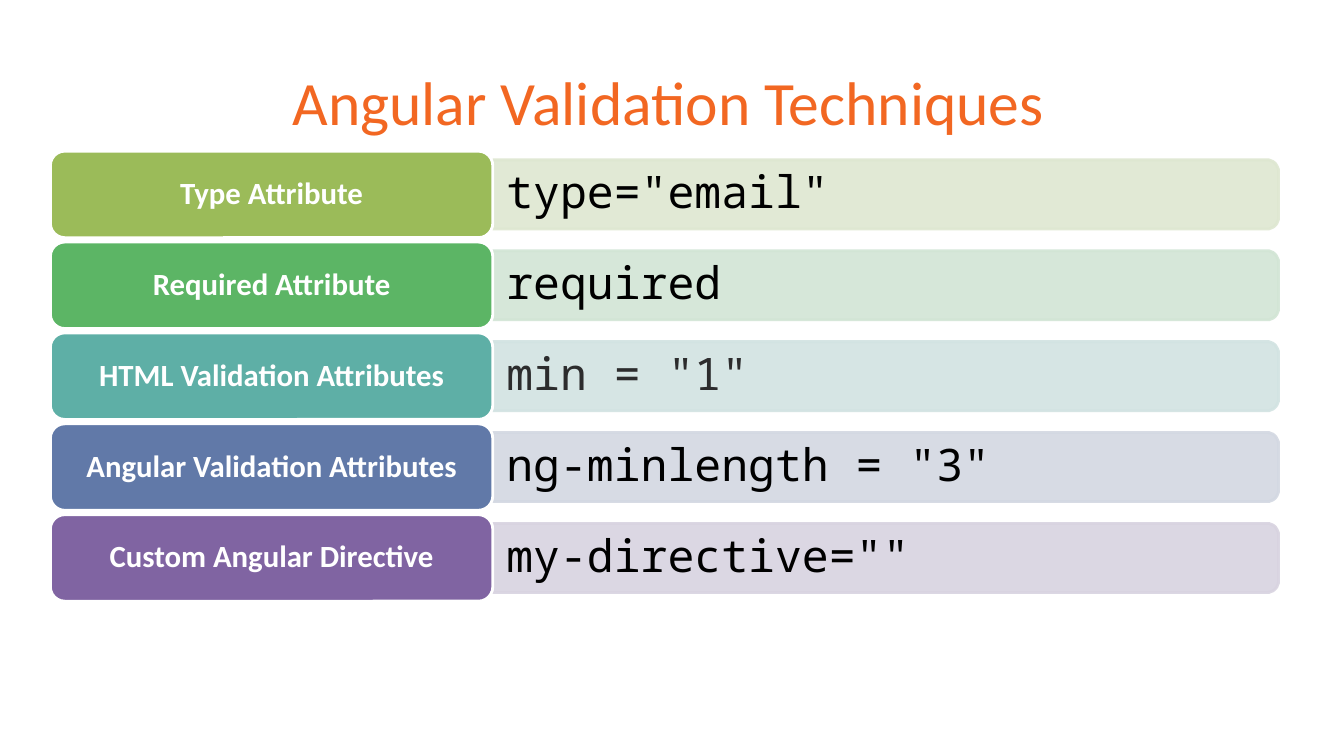
import math
from lxml import etree
from pptx import Presentation
from pptx.dml.color import RGBColor
from pptx.enum import shapes, text
from pptx.oxml.ns import qn
from pptx.util import Cm, Pt

ORANGE = RGBColor(0xF2, 0x67, 0x22)
WHITE = RGBColor(0xFF, 0xFF, 0xFF)
BLACK = RGBColor(0x00, 0x00, 0x00)
CHARCOAL = RGBColor(0x2C, 0x2C, 0x2D)
GREEN, PALE_GREEN = RGBColor(0x5C, 0xB5, 0x65), RGBColor(0xD2, 0xE5, 0xD5)
OLIVE, PALE_OLIVE = RGBColor(0x9B, 0xBB, 0x59), RGBColor(0xDE, 0xE7, 0xD1)
TEAL, PALE_TEAL = RGBColor(0x5E, 0xAF, 0xA6), RGBColor(0xD2, 0xE3, 0xE2)
BLUE, PALE_BLUE = RGBColor(0x61, 0x79, 0xA8), RGBColor(0xD3, 0xD8, 0xE2)
PURPLE, PALE_PURPLE = RGBColor(0x80, 0x64, 0xA2), RGBColor(0xD8, 0xD3, 0xE0)

TECHNIQUES = [
    ("Type Attribute", 'type="email"', OLIVE, PALE_OLIVE, BLACK),
    ("Required Attribute", "required", GREEN, PALE_GREEN, BLACK),
    ("HTML Validation Attributes", 'min = "1"', TEAL, PALE_TEAL, CHARCOAL),
    ("Angular Validation Attributes", 'ng-minlength = "3"', BLUE, PALE_BLUE, BLACK),
    ("Custom Angular Directive", 'my-directive=""', PURPLE, PALE_PURPLE, BLACK),
]
LEFT, TOP, PITCH = 1.27, 3.81, 2.29
LABEL_W, LABEL_H = 11.15, 2.18
BAR_W, BAR_H, RADIUS = 19.8, 1.74, 0.29


def write(sp, words, font, size, color, align, spacing, insets):
    """Set one middle-anchored paragraph; insets are left, top, right, bottom in cm."""
    tf = sp.text_frame
    tf.word_wrap = True
    tf.vertical_anchor = text.MSO_ANCHOR.MIDDLE
    tf.margin_left, tf.margin_top, tf.margin_right, tf.margin_bottom = map(Cm, insets)
    p = tf.paragraphs[0]
    p.text = words
    p.alignment = align
    p.line_spacing = spacing
    p.font.name, p.font.size, p.font.color.rgb = font, Pt(size), color
    return p


def paint(sp, fill, line):
    sp.shadow.inherit = False
    sp.fill.solid()
    sp.fill.fore_color.rgb = fill
    sp.line.color.rgb = line
    sp.line.width = Pt(2)


prs = Presentation()
prs.slide_width, prs.slide_height = Cm(33.87), Cm(19.05)
s = prs.slides.add_slide(prs.slide_layouts[5])

title = s.shapes.title
title.left, title.top, title.width, title.height = Cm(1.73), Cm(0.51), Cm(30.5), Cm(4.37)
write(title, "Angular Validation Techniques", "Calibri", 44, ORANGE,
      text.PP_ALIGN.CENTER, 0.85, (0, 0.13, 0.25, 0.13))

# Bar outline: square on the left, rounded on the right
arc = [math.radians(a) for a in range(-90, 91, 10)]
corner_x = BAR_W - RADIUS
outline = [(corner_x + RADIUS * math.cos(a),
            (RADIUS if a <= 0 else BAR_H - RADIUS) + RADIUS * math.sin(a)) for a in arc]
outline.append((0, BAR_H))

for i, (name, code, color, pale, code_color) in enumerate(TECHNIQUES):
    top = TOP + i * PITCH

    builder = s.shapes.build_freeform(0, 0, scale=Cm(0.01))
    builder.add_line_segments([(x * 100, y * 100) for x, y in outline], close=True)
    bar = builder.convert_to_shape(Cm(LEFT + LABEL_W), Cm(top + (LABEL_H - BAR_H) / 2))
    paint(bar, pale, pale)
    for clr in bar._element.spPr.iter(qn("a:srgbClr")):
        etree.SubElement(clr, qn("a:alpha"), val="90000")
    write(bar, code, "Noto Sans Mono", 32, code_color,
          text.PP_ALIGN.LEFT, 0.9, (0.34, 0.25, 0.43, 0.25))

    label = s.shapes.add_shape(shapes.MSO_SHAPE.ROUNDED_RECTANGLE,
                               Cm(LEFT), Cm(top), Cm(LABEL_W), Cm(LABEL_H))
    paint(label, color, WHITE)
    p = write(label, name, "Calibri", 22, WHITE,
              text.PP_ALIGN.CENTER, 0.9, (0.33, 0.23, 0.33, 0.23))
    p.font.bold = True

prs.save("out.pptx")
